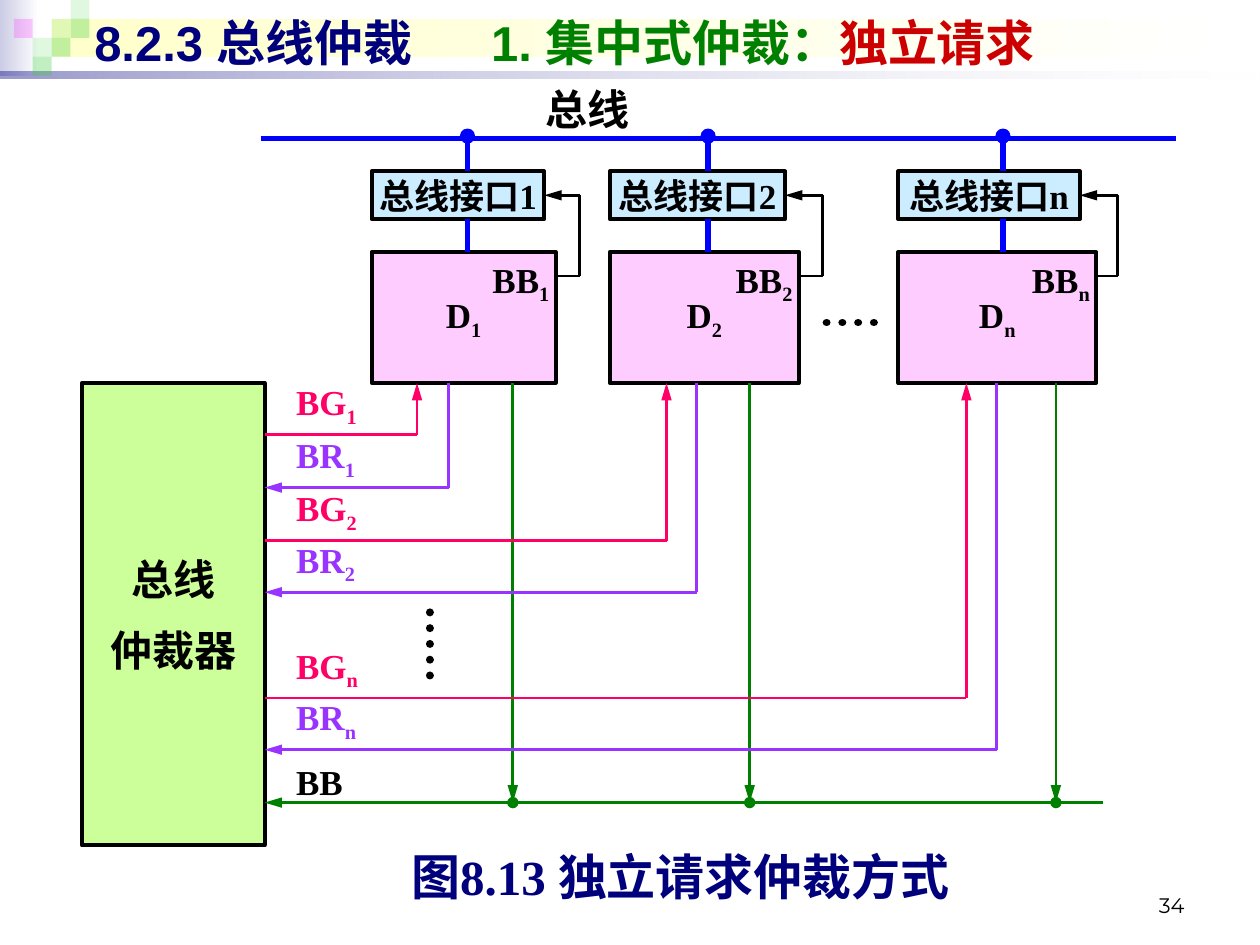
"""Build the slide on centralized bus arbitration by independent requests."""
from collections import namedtuple

from lxml.etree import SubElement
from pptx import Presentation
from pptx.dml.color import RGBColor
from pptx.enum.dml import MSO_LINE
from pptx.enum.shapes import MSO_CONNECTOR, MSO_SHAPE
from pptx.enum.text import MSO_ANCHOR, PP_ALIGN
from pptx.oxml.ns import qn
from pptx.util import Inches, Pt

BLACK = RGBColor(0x00, 0x00, 0x00)
WHITE = RGBColor(0xFF, 0xFF, 0xFF)
NAVY = RGBColor(0x00, 0x00, 0x7D)
GREEN = RGBColor(0x00, 0x80, 0x00)
RED = RGBColor(0xCC, 0x00, 0x00)
BLUE = RGBColor(0x00, 0x00, 0xFF)
ROSE = RGBColor(0xFF, 0x00, 0x66)
VIOLET = RGBColor(0x99, 0x33, 0xFF)
PINK = RGBColor(0xFF, 0xCC, 0xFF)
SKY = RGBColor(0xCC, 0xEC, 0xFF)
LIME = RGBColor(0xCC, 0xFF, 0x99)
LAVENDER = RGBColor(0xCC, 0xCC, 0xE6)
CREAM = RGBColor(0xFF, 0xFF, 0xCC)
LEAF = RGBColor(0x33, 0xCC, 0x33)
MAGENTA = RGBColor(0xFF, 0x00, 0xFF)

TITLE = [("8.2.3 总线仲裁\t", NAVY), ("1. 集中式仲裁：", GREEN), ("独立请求", RED)]
TITLE_TAB = 3.15
CAPTION = "图8.13 独立请求仲裁方式"
PAGE = "34"

BANDS = [
    ((0, 0, 0.31, 0.6), [LAVENDER, WHITE], (100, 100)),
    ((0.41, 0.15, 9.55, 0.3), [CREAM, WHITE], (100, 100)),
    ((0, 0.57, 10, 0.05), [NAVY, WHITE], (40, 10)),
]
TILE = 0.15
TILE_ORIGIN = 0.11
TILES = [
    (2, 1, LEAF, 15), (3, 0, LEAF, 15), (3, 1, LEAF, 30), (1, 2, LEAF, 15),
    (0, 1, MAGENTA, 20), (2, 2, LEAF, 30), (1, 3, LEAF, 30),
]

Device = namedtuple(
    "Device", "index left width port_width bus_x grant_x request_x busy_x loop_x grant_y request_y")
DEVICES = [
    Device("1", 2.95, 1.46, 1.37, 3.71, 3.31, 3.56, 4.07, 4.60, 3.45, 3.87),
    Device("2", 4.84, 1.50, 1.39, 5.62, 5.29, 5.53, 5.95, 6.53, 4.29, 4.70),
    Device("n", 7.13, 1.57, 1.44, 7.96, 7.67, 7.91, 8.38, 8.87, 5.54, 5.95),
]
ELLIPSES = [((6.56, 2.56), (7.05, 2.56)), ((3.41, 4.86), (3.41, 5.48))]

BUS_Y, PORT_TOP, PORT_HEIGHT = 1.1, 1.36, 0.38
DEVICE_TOP, DEVICE_BOTTOM = 2.0, 3.04
LOOP_Y, BUSY_Y = 2.19, 6.37
ARBITER_LEFT, ARBITER_RIGHT = 0.65, 2.1
LABEL_LEFT, LABEL_HEIGHT = 2.35, 0.42

deck = Presentation()
deck.slide_width, deck.slide_height = Inches(10), Inches(7.5)
slide = deck.slides.add_slide(deck.slide_layouts[6])


def fade(shape, percents):
    colors = shape._element.spPr.iter(qn("a:srgbClr"))
    for color, percent in zip(colors, percents):
        if percent < 100:
            SubElement(color, qn("a:alpha"), val=str(percent * 1000))


def block(box, fill, outline=None, weight=2.25, kind=MSO_SHAPE.RECTANGLE):
    shape = slide.shapes.add_shape(kind, *map(Inches, box))
    shape.shadow.inherit = False
    if isinstance(fill, list):
        shape.fill.gradient()
        shape.fill.gradient_angle = 0
        for stop, color, position in zip(shape.fill.gradient_stops, fill, (0, 1)):
            stop.color.rgb, stop.position = color, position
    else:
        shape.fill.solid()
        shape.fill.fore_color.rgb = fill
    if outline is None:
        shape.line.fill.background()
    else:
        shape.line.color.rgb, shape.line.width = outline, Pt(weight)
    return shape


def dot(x, y, size, color):
    block((x - size / 2, y - size / 2, size, size), color, color, 0.75,
          MSO_SHAPE.FLOWCHART_CONNECTOR)


def line(start, end, color, weight=1.5, arrow=False, dotted=False):
    wire = slide.shapes.add_connector(MSO_CONNECTOR.STRAIGHT, *map(Inches, start + end))
    wire.line.color.rgb, wire.line.width = color, Pt(weight)
    SubElement(wire._element.spPr, qn("a:effectLst"))
    stroke = wire._element.spPr.find(qn("a:ln"))
    if dotted:
        wire.line.dash_style = MSO_LINE.ROUND_DOT
        stroke.set("cap", "rnd")
    if arrow:
        SubElement(stroke, qn("a:tailEnd"), type="triangle", w="med", len="lg")
    return wire


def write(shape, text, size=20, color=BLACK, sub="", align=PP_ALIGN.CENTER,
          anchor=MSO_ANCHOR.MIDDLE, font="Times New Roman", bold=True, inset=0, tab=None):
    frame = shape.text_frame
    frame.word_wrap, frame.vertical_anchor = True, anchor
    frame.margin_left = frame.margin_right = Inches(inset)
    frame.margin_top = frame.margin_bottom = Inches(inset / 2)
    frame.text = text
    for paragraph in frame.paragraphs:
        paragraph.alignment = align
        if tab:
            stops = SubElement(paragraph._p.get_or_add_pPr(), qn("a:tabLst"))
            SubElement(stops, qn("a:tab"), pos=str(Inches(tab)), algn="l")
        paragraph.font.name, paragraph.font.size = font, Pt(size)
        paragraph.font.bold, paragraph.font.color.rgb = bold, color
    if sub:
        index = frame.paragraphs[0].add_run()
        index.text = sub
        index.font._element.set("baseline", "-25000")
    return frame


def textbox(box, text, **style):
    return write(slide.shapes.add_textbox(*map(Inches, box)), text, **style)


def signal_label(text, sub, bottom, color):
    textbox((LABEL_LEFT, bottom - LABEL_HEIGHT, 0.73, LABEL_HEIGHT), text, sub=sub,
            color=color, align=PP_ALIGN.LEFT, anchor=MSO_ANCHOR.BOTTOM)


def draw_header():
    for box, colors, percents in BANDS:
        fade(block(box, colors), percents)
    for column, row, color, percent in TILES:
        fade(block((TILE_ORIGIN + column * TILE, row * TILE, TILE, TILE), color), [percent])
    title = textbox((0.65, 0.05, 9, 0.57), "", size=28, font="Arial",
                    align=PP_ALIGN.LEFT, inset=0.1, tab=TITLE_TAB)
    for text, color in TITLE:
        part = title.paragraphs[0].add_run()
        part.text, part.font.color.rgb = text, color


def draw_device(device):
    right = device.left + device.width
    body = block((device.left, DEVICE_TOP, device.width, DEVICE_BOTTOM - DEVICE_TOP), PINK, BLACK)
    write(body, "D", sub=device.index)
    textbox((right - 0.79, 2.08, 0.74, 0.33), "BB", sub=device.index,
            align=PP_ALIGN.RIGHT).paragraphs[0].line_spacing = 0.72
    port = block((device.left, PORT_TOP, device.port_width, PORT_HEIGHT), SKY, BLACK)
    write(port, "总线接口" + device.index)

    line((device.bus_x, BUS_Y), (device.bus_x, PORT_TOP), BLUE, 3)
    line((device.bus_x, PORT_TOP + PORT_HEIGHT), (device.bus_x, DEVICE_TOP), BLUE, 3)
    dot(device.bus_x, BUS_Y - 0.02, 0.11, BLUE)

    port_y = PORT_TOP + PORT_HEIGHT / 2
    line((right, LOOP_Y), (device.loop_x, LOOP_Y), BLACK)
    line((device.loop_x, LOOP_Y), (device.loop_x, port_y), BLACK)
    line((device.loop_x, port_y), (device.left + device.port_width, port_y), BLACK,
         arrow=True).end_connect(port, 3)

    grant_corner = (device.grant_x, device.grant_y)
    line((ARBITER_RIGHT, device.grant_y), grant_corner, ROSE)
    line(grant_corner, (device.grant_x, DEVICE_BOTTOM), ROSE, arrow=True)
    request_corner = (device.request_x, device.request_y)
    line((device.request_x, DEVICE_BOTTOM), request_corner, VIOLET)
    line(request_corner, (ARBITER_RIGHT, device.request_y), VIOLET, arrow=True)
    line((device.busy_x, DEVICE_BOTTOM), (device.busy_x, BUSY_Y), GREEN, arrow=True)
    dot(device.busy_x, BUSY_Y, 0.08, GREEN)
    signal_label("BG", device.index, device.grant_y - 0.05, ROSE)
    signal_label("BR", device.index, device.request_y - 0.05, VIOLET)


draw_header()
textbox((4.21, 0.66, 0.91, 0.38), "总线", size=24, anchor=MSO_ANCHOR.TOP)
line((2.07, BUS_Y), (9.33, BUS_Y), BLUE, 3)
arbiter = block((ARBITER_LEFT, DEVICE_BOTTOM, ARBITER_RIGHT - ARBITER_LEFT, 3.67), LIME, BLACK)
write(arbiter, "总线\n仲裁器", size=24).paragraphs[1].space_before = Pt(12)
line((8.75, BUSY_Y), (ARBITER_RIGHT, BUSY_Y), GREEN, arrow=True)
signal_label("BB", "", BUSY_Y, BLACK)
for device in DEVICES:
    draw_device(device)
for start, end in ELLIPSES:
    line(start, end, BLACK, 4.5, dotted=True)
textbox((2.8, 6.72, 5.2, 0.49), CAPTION, size=28, color=NAVY, anchor=MSO_ANCHOR.TOP)
textbox((7.17, 6.83, 2.33, 0.5), PAGE, size=12, font="Montserrat", bold=False,
        align=PP_ALIGN.RIGHT, anchor=MSO_ANCHOR.BOTTOM, inset=0.1)
deck.save("out.pptx")
